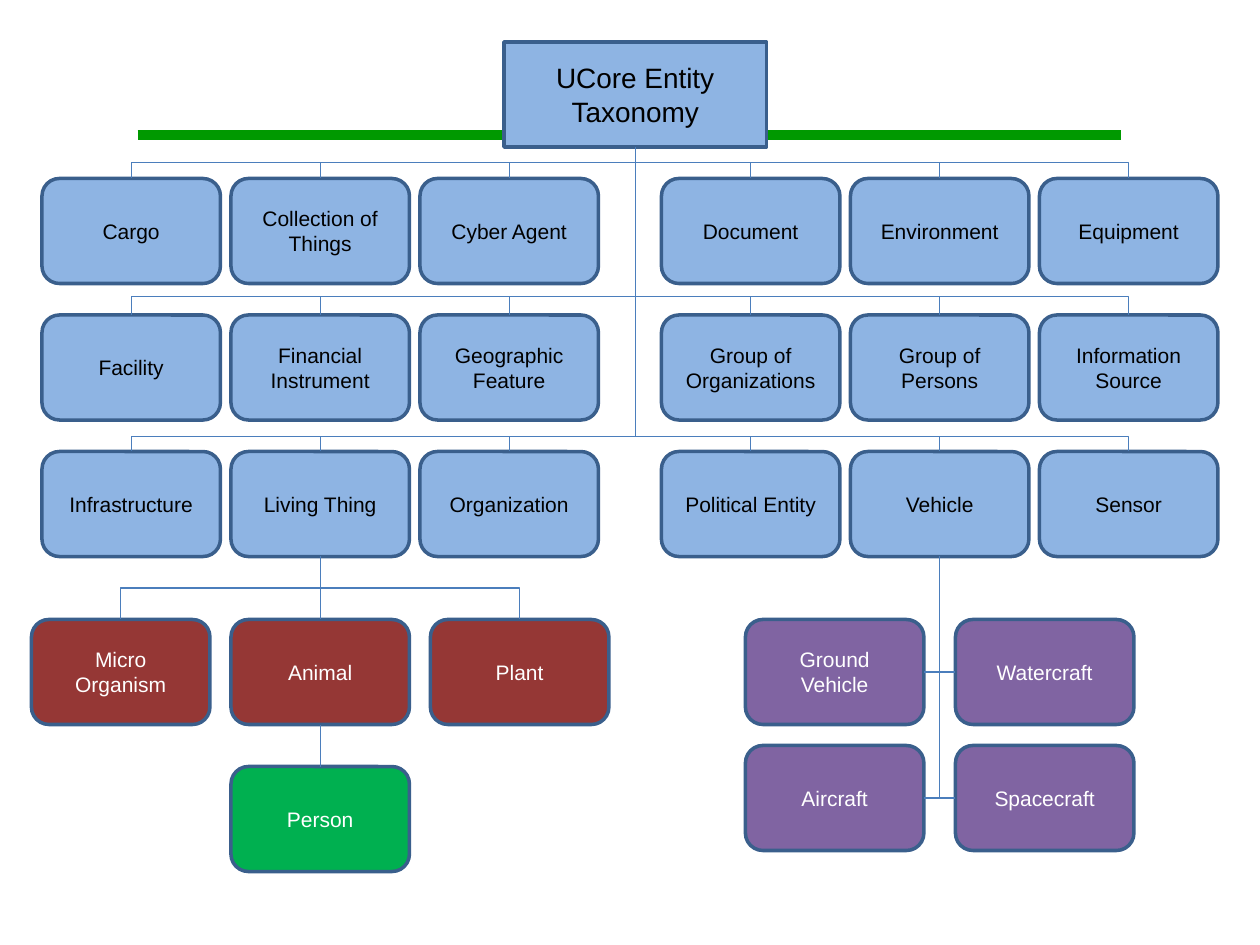
"""Build the UCore entity taxonomy slide on a grid of twelve units to the inch."""
from typing import NamedTuple, Optional

from lxml.etree import SubElement
from pptx import Presentation
from pptx.dml.color import RGBColor
from pptx.enum.shapes import MSO_CONNECTOR, MSO_SHAPE
from pptx.enum.text import MSO_ANCHOR, MSO_AUTO_SIZE, PP_ALIGN
from pptx.oxml.ns import qn
from pptx.util import Inches, Pt

BOX_W, BOX_H = 17, 10
TOP, LEFT, BOTTOM, RIGHT = range(4)
BLUE, RED, GREEN, PURPLE = "8EB4E3", "953735", "00B050", "8064A2"
BLACK, WHITE, OUTLINE, LINK, RULE = "000000", "FFFFFF", "3A5F8C", "4B7EBC", "009900"


class Row(NamedTuple):
    """A row of top-level entities and the bend of the links that reach it."""
    y: float
    bend: float
    names: list[str]


class Leaf(NamedTuple):
    """A lower-level entity, its parent and the side where its link ends."""
    name: str
    parent: str
    x: float
    y: float
    fill: str
    side: int = TOP


COLUMNS = [4, 22, 40, 63, 81, 99]
ROWS = [
    Row(17, 0.5, ["Cargo", "Collection of Things", "Cyber Agent",
                  "Document", "Environment", "Equipment"]),
    Row(30, 0.89, ["Facility", "Financial Instrument", "Geographic Feature",
                   "Group of Organizations", "Group of Persons", "Information Source"]),
    Row(43, 0.95, ["Infrastructure", "Living Thing", "Organization",
                   "Political Entity", "Vehicle", "Sensor"]),
]
LEAVES = [
    Leaf("Micro Organism", "Living Thing", 3, 59, RED),
    Leaf("Animal", "Living Thing", 22, 59, RED),
    Leaf("Plant", "Living Thing", 41, 59, RED),
    Leaf("Person", "Animal", 22, 73, GREEN),
    Leaf("Ground Vehicle", "Vehicle", 71, 59, PURPLE, RIGHT),
    Leaf("Watercraft", "Vehicle", 91, 59, PURPLE, LEFT),
    Leaf("Aircraft", "Vehicle", 71, 71, PURPLE, RIGHT),
    Leaf("Spacecraft", "Vehicle", 91, 71, PURPLE, LEFT),
]


def grid(n: float) -> int:
    """Turn grid units into a length."""
    return Inches(n / 12)


def rgb(value: str) -> RGBColor:
    """Turn a hex string into a colour."""
    return RGBColor.from_string(value)


def write(sp, text: str, *, size: float, color: str) -> None:
    """Write centred Arial text in a shape."""
    tf = sp.text_frame
    tf.word_wrap = True
    tf.auto_size = MSO_AUTO_SIZE.NONE
    tf.vertical_anchor = MSO_ANCHOR.MIDDLE
    p = tf.paragraphs[0]
    p.alignment = PP_ALIGN.CENTER
    r = p.add_run()
    r.text = text
    r.font.name = "Arial"
    r.font.size = Pt(size)
    r.font.color.rgb = rgb(color)


def paint(sp, fill: str) -> None:
    """Fill and outline a box."""
    sp.fill.solid()
    sp.fill.fore_color.rgb = rgb(fill)
    sp.line.color.rgb = rgb(OUTLINE)
    sp.line.width = Pt(2)


def add_box(shapes, text: str, x: float, y: float, fill: str, color: str):
    """Add a rounded entity box."""
    sp = shapes.add_shape(MSO_SHAPE.ROUNDED_RECTANGLE, *map(grid, (x, y, BOX_W, BOX_H)))
    sp.shadow.inherit = False
    paint(sp, fill)
    write(sp, text, size=12, color=color)
    return sp


def add_root(shapes, text: str):
    """Turn the title placeholder into the rounded root box."""
    sp = shapes.title
    sp.left, sp.top, sp.width, sp.height = map(grid, (48, 4, 25, 10))
    geom = SubElement(sp.element.spPr, qn("a:prstGeom"), prst="roundRect")
    SubElement(geom, qn("a:avLst"))
    paint(sp, BLUE)
    write(sp, text, size=16, color=BLACK)
    return sp


def style_line(c, color: str, width: float) -> None:
    """Colour a connector and clear its shadow."""
    c.line.color.rgb = rgb(color)
    c.line.width = Pt(width)
    SubElement(c.element.spPr, qn("a:effectLst"))


def add_link(shapes, parent, child, side: int = TOP, bend: Optional[float] = 0.5) -> None:
    """Link a parent's bottom to a child's side, with one corner if bend is None."""
    x1, y1 = parent.left + parent.width // 2, parent.top + parent.height
    x2 = child.left + {TOP: child.width // 2, LEFT: 0, RIGHT: child.width}[side]
    y2 = child.top + (0 if side == TOP else child.height // 2)
    c = shapes.add_connector(MSO_CONNECTOR.ELBOW, x1, y1, x2, y2)
    c.begin_connect(parent, BOTTOM)
    c.end_connect(child, side)
    w, h = y2 - y1, abs(x2 - x1)
    c.left, c.top = (x1 + x2 - w) // 2, (y1 + y2 - h) // 2
    c.width, c.height = w, h
    rightward = x2 > x1
    xfrm = c.element.spPr.find(qn("a:xfrm"))
    xfrm.set("rot", str((270 if rightward else 90) * 60000))
    xfrm.set("flipH", "1" if rightward else "0")
    xfrm.set("flipV", "0")
    geom = c.element.spPr.find(qn("a:prstGeom"))
    if bend is None:
        geom.set("prst", "bentConnector2")
    else:
        SubElement(geom.find(qn("a:avLst")), qn("a:gd"),
                   name="adj1", fmla=f"val {round(bend * 100000)}")
    style_line(c, LINK, 0.75)


def main() -> None:
    """Build and save the slide."""
    prs = Presentation()
    prs.slide_width, prs.slide_height = Inches(10), Inches(7.5)
    s = prs.slides.add_slide(prs.slide_layouts[5])
    shapes = s.shapes

    rule = shapes.add_connector(MSO_CONNECTOR.STRAIGHT, *map(grid, (13.1, 12.85, 106.8, 12.85)))
    style_line(rule, RULE, 6)
    shapes.title.element.addprevious(rule.element)

    root = add_root(shapes, "UCore Entity Taxonomy")
    boxes = {name: add_box(shapes, name, x, row.y, BLUE, BLACK)
             for row in ROWS for x, name in zip(COLUMNS, row.names)}
    for leaf in LEAVES:
        boxes[leaf.name] = add_box(shapes, leaf.name, leaf.x, leaf.y, leaf.fill, WHITE)

    for row in ROWS:
        for name in row.names:
            add_link(shapes, root, boxes[name], bend=row.bend)
    for leaf in LEAVES:
        add_link(shapes, boxes[leaf.parent], boxes[leaf.name], leaf.side,
                 0.5 if leaf.side == TOP else None)

    prs.save("out.pptx")


if __name__ == "__main__":
    main()
